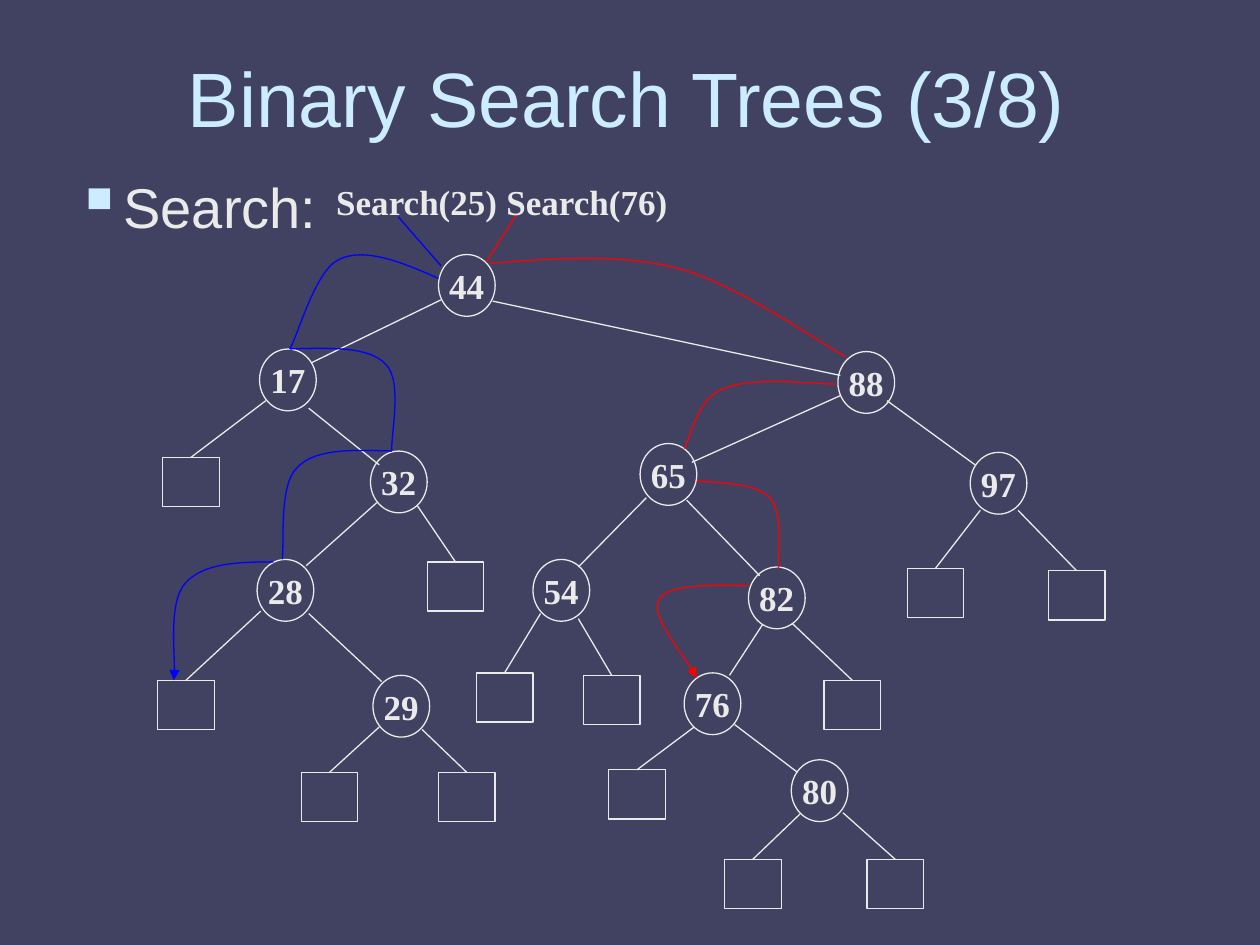
"""Build a slide that traces two searches through a binary search tree."""
from dataclasses import dataclass
from itertools import chain

from lxml.etree import SubElement
from pptx import Presentation
from pptx.dml.color import RGBColor
from pptx.enum.shapes import MSO_CONNECTOR, MSO_SHAPE
from pptx.enum.text import MSO_ANCHOR, MSO_AUTO_SIZE, PP_ALIGN
from pptx.oxml.ns import qn
from pptx.util import Inches, Pt


@dataclass(frozen=True)
class Theme:
    background: str = "414161"
    ink: str = "EAEAEA"
    accent: str = "CCECFF"
    blue: str = "0000FF"
    red: str = "FF0000"
    sans: str = "Arial"
    serif: str = "Times New Roman"
    title_size: int = 44
    body_size: int = 32
    label_size: int = 20
    line_width: float = 0.75


theme = Theme()
presentation = Presentation()
presentation.slide_width, presentation.slide_height = Inches(10), Inches(7.5)
slide = presentation.slides.add_slide(presentation.slide_layouts[6])
slide.background.fill.solid()
slide.background.fill.fore_color.rgb = RGBColor.from_string(theme.background)
shapes = slide.shapes
column = presentation.slide_width / 100
row = presentation.slide_height / 75


def grid(*values):
    """Turn alternating column and row counts into slide lengths."""
    return [round(value * unit) for value, unit in zip(values, (column, row) * 2)]


def write(shape, text, size, font_name, color, bold=False, **frame_format):
    """Put one formatted paragraph in a shape and return it."""
    frame = shape.text_frame
    for name, value in frame_format.items():
        setattr(frame, name, value)
    paragraph = frame.paragraphs[0]
    run = paragraph.add_run()
    run.text = text
    for name, value in {"name": font_name, "size": Pt(size), "bold": bold}.items():
        setattr(run.font, name, value)
    run.font.color.rgb = RGBColor.from_string(color)
    return paragraph


label_format = {"size": theme.label_size, "font_name": theme.serif,
                "color": theme.ink, "bold": True, "word_wrap": False}

title = shapes.add_textbox(*grid(13.8, 1.4, 71.9, 12.5))
write(title, "Binary Search Trees (3/8)", theme.title_size, theme.sans, theme.accent,
      word_wrap=True, vertical_anchor=MSO_ANCHOR.MIDDLE).alignment = PP_ALIGN.CENTER

body = shapes.add_textbox(*grid(5, 12.7, 90, 49.2))
topic = write(body, "Search:", theme.body_size, theme.sans, theme.ink,
              word_wrap=True, margin_top=round(row))
properties = topic._p.get_or_add_pPr()
indent = round(3.75 * column)
properties.set("marL", str(indent))
properties.set("indent", str(-indent))
bullet_color = SubElement(properties, qn("a:buClr"))
SubElement(bullet_color, qn("a:srgbClr"), val=theme.accent)
SubElement(properties, qn("a:buSzPct"), val="115000")
SubElement(properties, qn("a:buChar"), char="▪")

outlined = []

nodes = {
    "44": (34.8, 20.2), "17": (20.6, 27.7), "88": (66.5, 27.9), "32": (29.4, 35.8),
    "65": (50.8, 35.2), "97": (77, 35.9), "28": (20.4, 44.4), "54": (42.3, 44.4),
    "82": (59.4, 45), "29": (29.6, 53.6), "76": (54.3, 53.4), "80": (62.8, 60.3),
}
for key, corner in nodes.items():
    node = shapes.add_shape(MSO_SHAPE.OVAL, *grid(*corner, 4.5, 4.9))
    write(node, key, **label_format,
          vertical_anchor=MSO_ANCHOR.MIDDLE).alignment = PP_ALIGN.CENTER
    outlined.append((node, theme.ink))

straight_lines = [
    (35, 23.8, 24.7, 28.8, theme.ink), (39.1, 23.9, 66.7, 29.8, theme.ink),
    (24.5, 32.4, 30.1, 36.9, theme.ink), (29.9, 39.9, 24.3, 44.9, theme.ink),
    (24.5, 48.7, 30.3, 54.1, theme.ink), (66.7, 31.4, 54.9, 36.7, theme.ink),
    (70.4, 31.8, 77.4, 36.9, theme.ink), (54.5, 39.7, 60.3, 45.7, theme.ink),
    (51.3, 39.5, 45.9, 45, theme.ink), (60.5, 49.6, 57.9, 53.6, theme.ink),
    (58.3, 57.5, 63.3, 61.3, theme.ink),
    (31.6, 17.2, 35, 21.1, theme.blue), (41, 17, 38.6, 20.8, theme.red),
]
for *ends, color in straight_lines:
    connector = shapes.add_connector(MSO_CONNECTOR.STRAIGHT, *grid(*ends))
    outlined.append((connector, color))

leaves_with_edge_starts = [
    (12.9, 36.3, 21.1, 31.8), (33.9, 44.6, 33.1, 40.1), (12.5, 54, 20.7, 48.5),
    (23.9, 61.3, 30.1, 57.7), (34.8, 61.3, 33.5, 57.9), (37.8, 53.4, 42.9, 48.7),
    (46.3, 53.6, 45.9, 49.1), (48.3, 61.1, 55.1, 57.7), (57.5, 68.2, 63.5, 64.6),
    (68.8, 68.2, 66.9, 64.5), (65.4, 54, 62.9, 49.5), (72, 45.1, 77.8, 40.5),
    (83.2, 45.3, 80.8, 40.5),
]
for left, top, *start in leaves_with_edge_starts:
    leaf = shapes.add_shape(MSO_SHAPE.RECTANGLE, *grid(left, top, 4.5, 3.9))
    edge = shapes.add_connector(MSO_CONNECTOR.STRAIGHT, *grid(*start, left, top))
    edge.end_connect(leaf, 0)
    outlined += [(leaf, theme.ink), (edge, theme.ink)]

search_steps = {
    theme.blue: [
        [(34.8, 22.1), (31.9, 20.8), (28.9, 19.6), (26.9, 20.6),
         (25, 21.5), (23.7, 26.5), (23, 27.7)],
        [(23, 27.7), (26.2, 27.6), (29.3, 27.5), (30.6, 28.9),
         (32, 30.2), (31, 34.6), (31.1, 35.8)],
        [(31.1, 35.8), (28, 35.7), (25, 35.6), (23.6, 37.1),
         (22.1, 38.5), (22.6, 43.2), (22.4, 44.4)],
        [(21.7, 44.6), (18.9, 44.6), (16.1, 44.7), (14.7, 46.3),
         (13.4, 47.8), (14, 52.7), (13.8, 54)],
    ],
    theme.red: [
        [(38.9, 20.9), (44, 20.5), (49.1, 20.1), (53.8, 21.3),
         (58.4, 22.5), (64.9, 27.1), (67.1, 28.3)],
        [(66.3, 30.5), (62.8, 30.3), (59.3, 30), (57.3, 30.9),
         (55.3, 31.7), (54.8, 34.8), (54.3, 35.6)],
        [(55.3, 38.2), (57.6, 38.3), (60, 38.4), (61.1, 39.5),
         (62.2, 40.7), (61.7, 44.2), (61.8, 45.1)],
        [(59.4, 46.5), (56.2, 46.4), (52.9, 46.4), (52.3, 47.6),
         (51.6, 48.8), (54.8, 52.7), (55.3, 53.8)],
    ],
}
arrows = []
for color, steps in search_steps.items():
    for step in steps:
        start, *controls = [grid(*point) for point in step]
        builder = shapes.build_freeform(*start)
        builder.add_line_segments(controls, close=False)
        curve = builder.convert_to_shape()
        outline = next(curve._element.iter(qn("a:path")))
        segments = outline.findall(qn("a:lnTo"))
        for first in range(0, len(segments), 3):
            bezier = SubElement(outline, qn("a:cubicBezTo"))
            bezier.extend(chain.from_iterable(segments[first:first + 3]))
        for segment in segments:
            outline.remove(segment)
        outlined.append((curve, color))
    arrows.append(curve)

for text, left in {"Search(25)": 25.7, "Search(76)": 39.2}.items():
    label = shapes.add_textbox(*grid(left, 13.8, 14.8, 4.4))
    write(label, text, **label_format, auto_size=MSO_AUTO_SIZE.SHAPE_TO_FIT_TEXT)

for shape, color in outlined:
    shape.line.color.rgb = RGBColor.from_string(color)
    shape.line.width = Pt(theme.line_width)
    if hasattr(shape, "fill"):
        shape.fill.background()
        shape.shadow.inherit = False
    else:
        SubElement(shape._element.spPr, qn("a:effectLst"))
for arrow in arrows:
    SubElement(arrow.line._get_or_add_ln(), qn("a:tailEnd"), type="triangle")

presentation.save("out.pptx")
